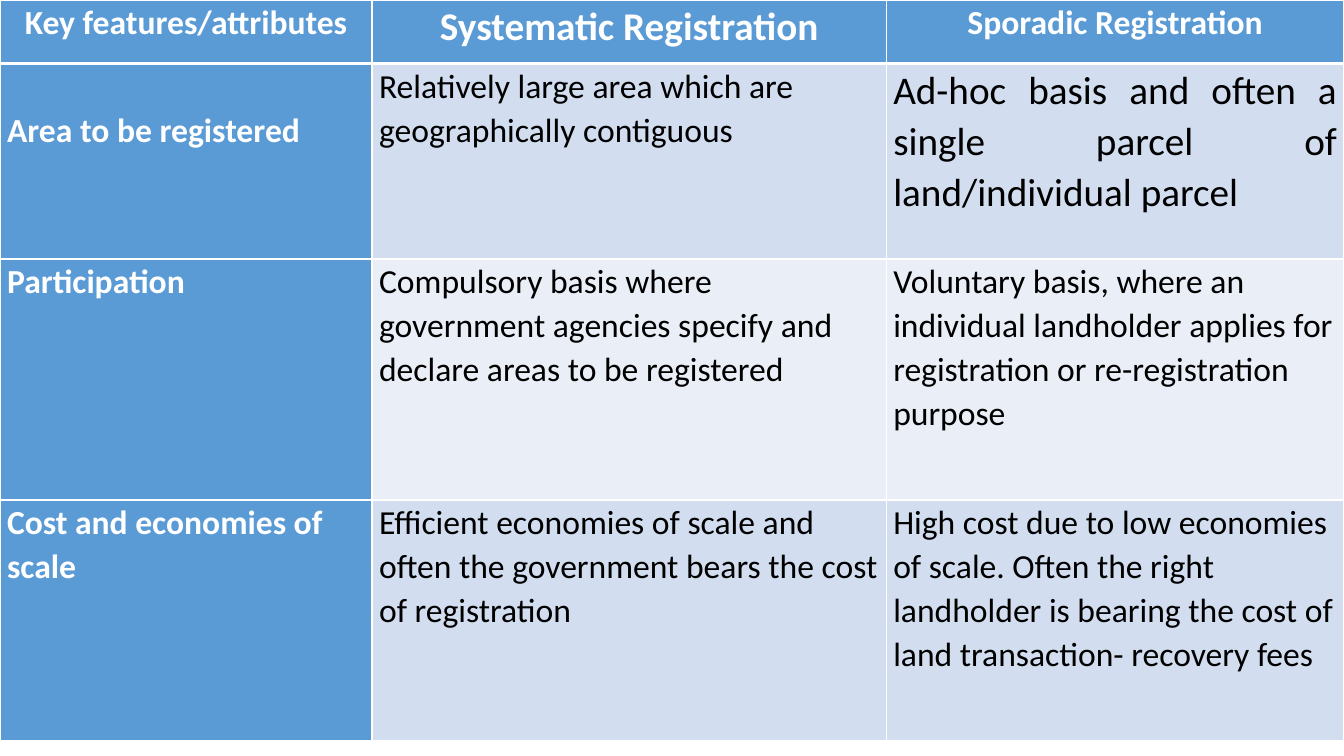
from lxml import etree
from pptx import Presentation
from pptx.dml.color import RGBColor
from pptx.enum import text
from pptx.oxml import ns
from pptx.util import Inches, Pt

BLUE, WHITE, BLACK = "5B9BD5", "FFFFFF", "000000"
BANDS = ["D2DEEF", "EAEFF7"]
COLUMN_WIDTHS = [3.69, 5.1, 4.54]
ROW_HEIGHTS = [0.63, 1.94, 2.39, 2.39]
ROWS = [
    ["Key features/attributes", "Systematic Registration", "Sporadic Registration"],
    ["Area to be registered",
     "Relatively large area which are geographically contiguous",
     "Ad-hoc basis and often a single parcel of land/individual parcel"],
    ["Participation",
     "Compulsory basis where government agencies specify and declare areas to be registered",
     "Voluntary basis, where an individual landholder applies for registration or "
     "re-registration purpose"],
    ["Cost and economies of scale",
     "Efficient economies of scale and often the government bears the cost of registration",
     "High cost due to low economies of scale. Often the right landholder is bearing "
     "the cost of land transaction- recovery fees"],
]
LARGE_CELLS = {(0, 1), (1, 2)}


def color(value):
    return RGBColor.from_string(value)


def add_borders(cell, top, bottom):
    properties = cell._tc.get_or_add_tcPr()
    sides = {"a:lnL": 1, "a:lnR": 1, "a:lnT": top, "a:lnB": bottom}
    for position, (tag, width) in enumerate(sides.items()):
        line = etree.Element(ns.qn(tag), w=str(Pt(width)))
        fill = etree.SubElement(line, ns.qn("a:solidFill"))
        etree.SubElement(fill, ns.qn("a:srgbClr"), val=WHITE)
        properties.insert(position, line)


def fill_cell(cell, words, background, foreground, size, bold, alignment):
    cell.margin_left = cell.margin_right = Inches(0.07)
    cell.margin_top = cell.margin_bottom = 0
    cell.fill.solid()
    cell.fill.fore_color.rgb = color(background)
    para = cell.text_frame.paragraphs[0]
    para.alignment = alignment
    para.line_spacing = 1.07
    span = para.add_run()
    span.text = words
    span.font.name = "Calibri"
    span.font.size = Pt(size)
    span.font.bold = bold
    span.font.color.rgb = color(foreground)


def add_comparison(page):
    frame = page.shapes.add_table(
        len(ROWS), len(COLUMN_WIDTHS), 0, 0,
        Inches(sum(COLUMN_WIDTHS)), Inches(sum(ROW_HEIGHTS)))
    table = frame.table
    for column, width in zip(table.columns, COLUMN_WIDTHS):
        column.width = Inches(width)
    for row, height in zip(table.rows, ROW_HEIGHTS):
        row.height = Inches(height)
    for row, entries in enumerate(ROWS):
        for column, words in enumerate(entries):
            cell = table.cell(row, column)
            heading = row == 0 or column == 0
            large = (row, column) in LARGE_CELLS
            alignment = text.PP_ALIGN.LEFT
            if row == 0:
                alignment = text.PP_ALIGN.CENTER
            elif large:
                alignment = text.PP_ALIGN.JUSTIFY
            fill_cell(cell, words,
                      BLUE if heading else BANDS[(row - 1) % 2],
                      WHITE if heading else BLACK,
                      28 if large else 24, heading, alignment)
            add_borders(cell, 3 if row == 1 else 1, 3 if row == 0 else 1)
    table.cell(1, 0).margin_top = Inches(0.44)


def main():
    deck = Presentation()
    deck.slide_width, deck.slide_height = Inches(13.33), Inches(7.5)
    page = deck.slides.add_slide(deck.slide_layouts[6])
    add_comparison(page)
    deck.save("out.pptx")


if __name__ == "__main__":
    main()
